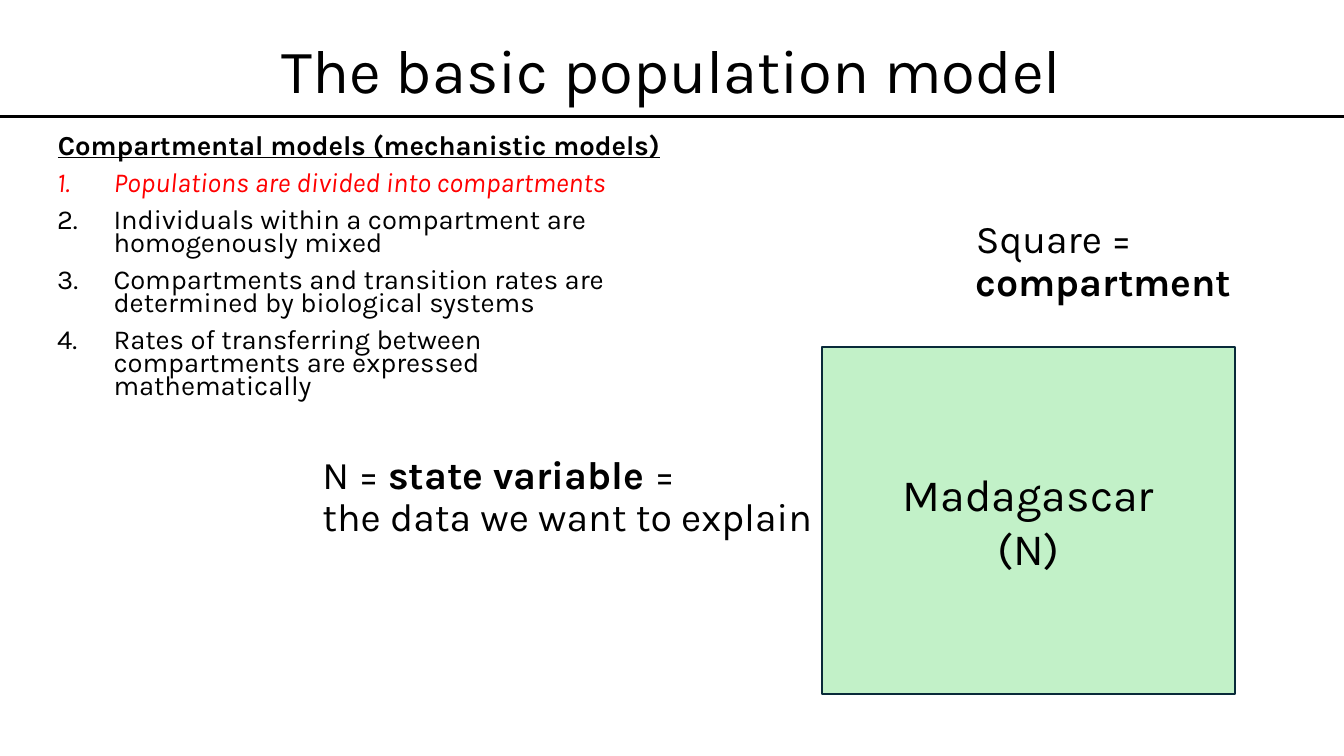
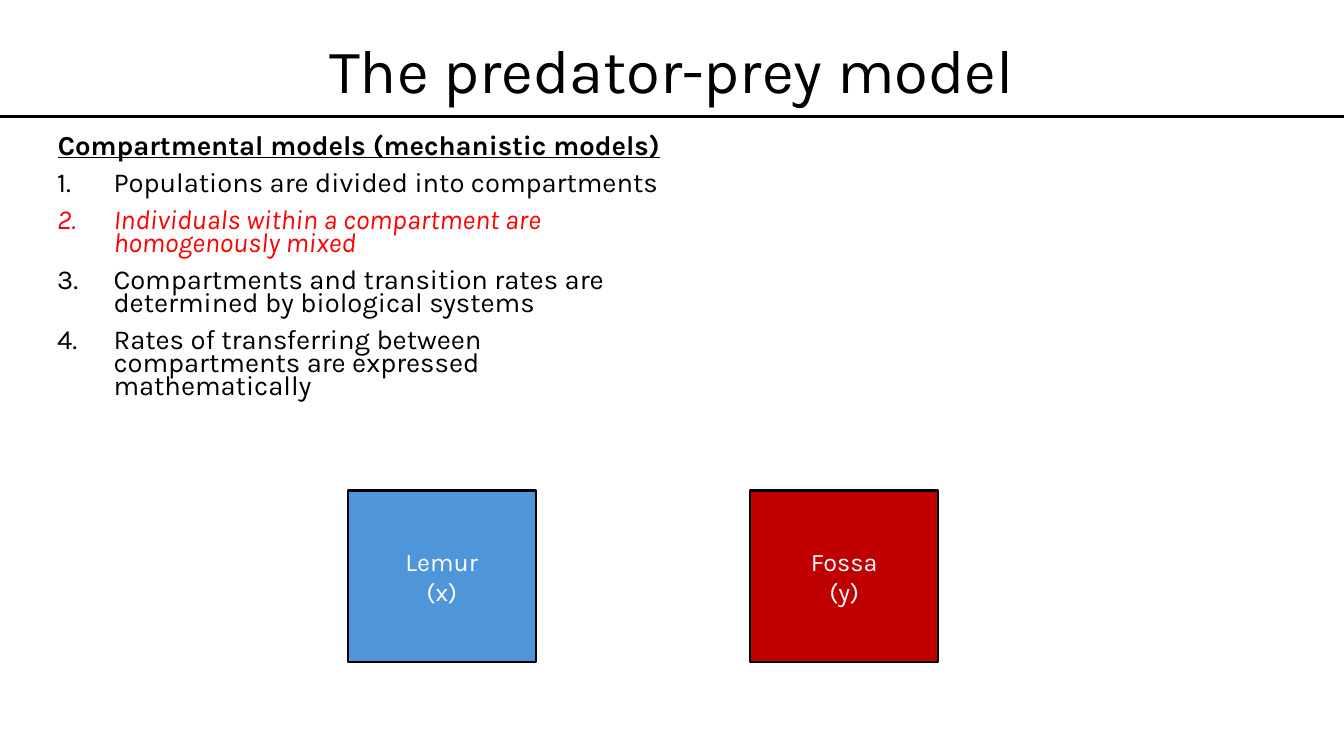
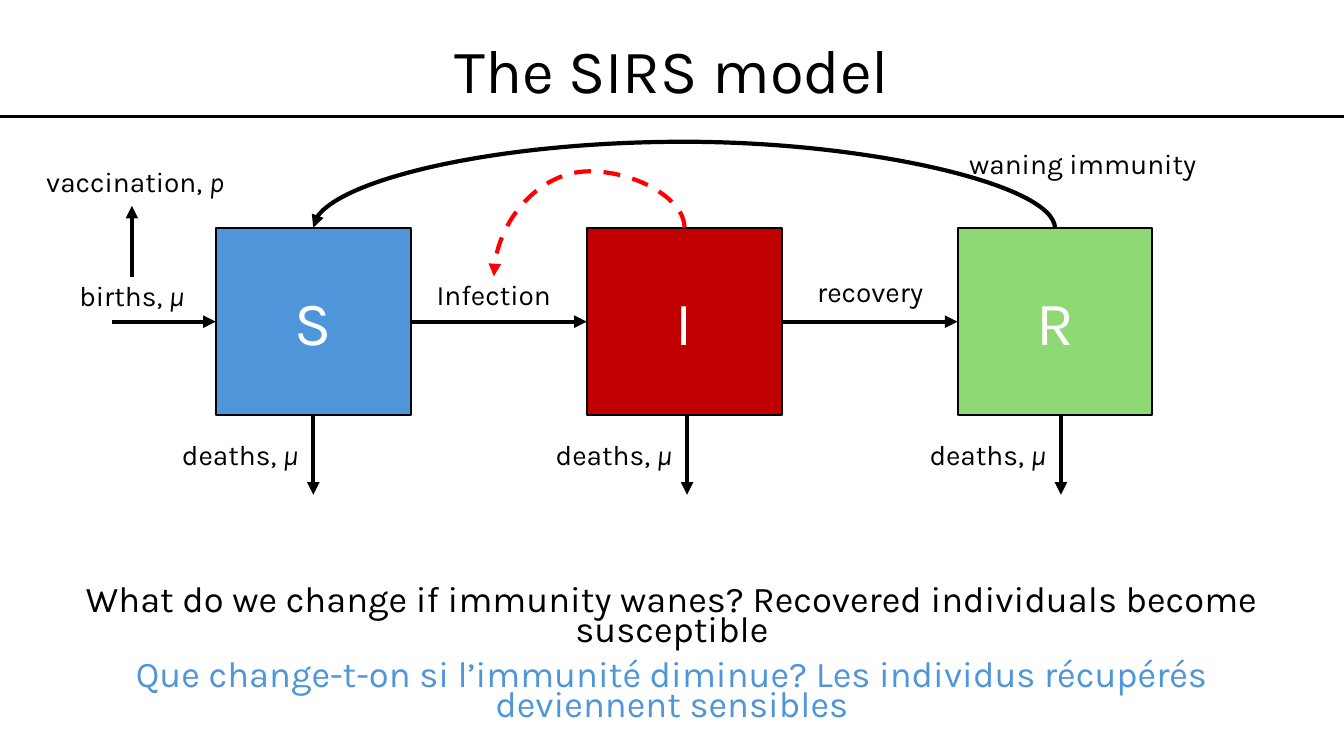
from lxml.etree import SubElement
from pptx import Presentation
from pptx.dml.color import RGBColor
from pptx.enum.dml import MSO_LINE_DASH_STYLE as Dash
from pptx.enum.shapes import MSO_CONNECTOR as Connector, MSO_SHAPE as Shape
from pptx.enum.text import MSO_ANCHOR as Anchor, MSO_AUTO_SIZE as AutoSize, PP_ALIGN as Align
from pptx.oxml.ns import qn
from pptx.util import Emu, Inches, Pt

COLUMNS, ROWS = 160, 90
CELL = Inches(7.5) // ROWS
BLACK, WHITE, RED = "000000", "FFFFFF", "FF0000"
BLUE, CRIMSON, GREEN, MINT, NAVY = "4E95D9", "C00000", "8ED973", "C2F1C8", "092A39"
FONT = "Karla"
TIGHT = {"line_spacing": 0.7, "space_before": Pt(10)}
NORMAL = {"line_spacing": 0.9, "space_before": Pt(10)}
PLAIN = {"line_spacing": 1.0, "space_before": Pt(0)}
BOLD, ITALIC = {"bold": True}, {"italic": True}
EMPHASIS = {"italic": True, "color": RED}
HEADING = "Compartmental models (mechanistic models)"
PRINCIPLES = [
    "Populations are divided into compartments",
    "Individuals within a compartment are homogenously mixed",
    "Compartments and transition rates are determined by biological systems",
    "Rates of transferring between compartments are expressed mathematically",
]


def cells(*counts):
    return [Emu(round(count * CELL)) for count in counts]


def rgb(code):
    return RGBColor.from_string(code)


def apply(target, values):
    for name, value in values.items():
        setattr(target, name, value)


def place(shape, box):
    apply(shape, dict(zip(("left", "top", "width", "height"), cells(*box))))


def write(frame, paragraphs, size, spacing=NORMAL, align=Align.LEFT, color=BLACK):
    apply(frame, {"word_wrap": True, "auto_size": AutoSize.NONE})
    for index, runs in enumerate(paragraphs):
        paragraph = frame.add_paragraph() if index else frame.paragraphs[0]
        apply(paragraph, {**spacing, "alignment": align})
        if not index:
            paragraph.space_before = Pt(0)
        for text, changes in runs:
            if text == "\n":
                paragraph.add_line_break()
                continue
            run = paragraph.add_run()
            run.text = text
            style = {"name": FONT, "size": Pt(size), "color": color, **changes}
            run.font.color.rgb = rgb(style.pop("color"))
            apply(run.font, style)


def set_bullet(paragraph, numbered):
    indent = Inches(0.56) if numbered else 0
    properties = paragraph._p.get_or_add_pPr()
    properties.set("marL", str(indent))
    properties.set("indent", str(-indent))
    if numbered:
        SubElement(properties, qn("a:buAutoNum"), type="arabicPeriod")
    else:
        SubElement(properties, qn("a:buNone"))


def new_slide(deck, title):
    slide = deck.slides.add_slide(deck.slide_layouts[1])
    place(slide.shapes.title, (0, 0, COLUMNS, 17.4))
    slide.shapes.title.text_frame.vertical_anchor = Anchor.MIDDLE
    write(slide.shapes.title.text_frame, [[(title, {})]], 44, NORMAL, Align.CENTER)
    line(slide, (0, 13.9), (COLUMNS, 13.9), 2.25, arrow=False)
    return slide


def body(slide, box, paragraphs, size):
    holder = slide.placeholders[1]
    place(holder, box)
    write(holder.text_frame, paragraphs, size, TIGHT, Align.CENTER)
    return holder.text_frame.paragraphs


def principles(slide, highlighted):
    entries = [[(text, EMPHASIS if number == highlighted else {})]
               for number, text in enumerate(PRINCIPLES, 1)]
    heading = [(HEADING, {"bold": True, "underline": True})]
    first, *rest = body(slide, (5.6, 15.7, 74.3, 32.9), [heading, *entries], 19.6)
    set_bullet(first, False)
    for paragraph in rest:
        paragraph.alignment = Align.LEFT
        set_bullet(paragraph, True)


def caption(slide, box, runs, size=28, align=Align.LEFT):
    holder = slide.shapes.add_textbox(*cells(*box))
    write(holder.text_frame, [runs], size, NORMAL, align)


def label(slide, center, top, text, symbol=""):
    width = 31
    runs = [(text, {})] + ([(symbol, ITALIC)] if symbol else [])
    caption(slide, (center - width / 2, top, width, 6.6), runs, 20, Align.CENTER)


def compartment(slide, box, lines, size, fill, border=BLACK, color=WHITE):
    square = slide.shapes.add_shape(Shape.RECTANGLE, *cells(*box))
    square.shadow.inherit = False
    square.fill.solid()
    square.fill.fore_color.rgb = rgb(fill)
    square.line.color.rgb = rgb(border)
    square.line.width = Pt(1.5)
    square.text_frame.vertical_anchor = Anchor.MIDDLE
    write(square.text_frame, [[(text, {})] for text in lines], size, PLAIN, Align.CENTER, color)


def line(slide, start, end, width=3, color=BLACK, arrow=True, kind=Connector.STRAIGHT):
    link = slide.shapes.add_connector(kind, *cells(*start, *end))
    link.line.color.rgb = rgb(color)
    link.line.width = Pt(width)
    if arrow:
        SubElement(link.line._get_or_add_ln(), qn("a:tailEnd"), type="triangle")
    SubElement(link._element.spPr, qn("a:effectLst"))
    return link


def arch(slide, start, end, peak, color=BLACK):
    link = line(slide, start, end, color=color, kind=Connector.CURVE)
    (x1, y1), (x2, y2) = start, end
    width, height = abs(y2 - y1), abs(x2 - x1)
    place(link, ((x1 + x2 - width) / 2, (y1 + y2 - height) / 2, width, height))
    turn = {"rot": 270 * 60000, "flipH": int(y2 > y1), "flipV": int(x2 < x1)}
    for name, value in turn.items():
        link._element.spPr.find(qn("a:xfrm")).set(name, str(value))
    guides = link._element.spPr.find(qn("a:prstGeom")).get_or_add_avLst()
    bend = round((peak - y1) / (y2 - y1) * 100000)
    SubElement(guides, qn("a:gd"), name="adj1", fmla=f"val {bend}")
    return link


def population_slide(deck):
    slide = new_slide(deck, "The basic population model")
    principles(slide, 1)
    caption(slide, (37.2, 53.6, 60.7, 20.6), [
        ("N = ", {}), ("state variable ", BOLD), ("= ", {}), ("\n", {}),
        ("the data we want to explain", {})])
    caption(slide, (115, 25.6, 34.4, 13.3), [("Square = ", {}), ("compartment", BOLD)])
    compartment(slide, (97.9, 41.3, 49.1, 41.3), ["Madagascar", "(N)"], 32, MINT, NAVY, BLACK)


def predator_slide(deck):
    slide = new_slide(deck, "The predator-prey model")
    principles(slide, 2)
    species = [("Lemur", "(x)", BLUE), ("Fossa", "(y)", CRIMSON)]
    for index, (name, symbol, fill) in enumerate(species):
        compartment(slide, (41.4 + 47.9 * index, 58.4, 22.4, 20.4), [name, symbol], 18, fill)


def sirs_slide(deck):
    slide = new_slide(deck, "The SIRS model")
    left, top, width, height, step, middle = 25.7, 27.1, 23.2, 22.3, 44.15, 38.3
    for index, (state, fill) in enumerate([("S", BLUE), ("I", CRIMSON), ("R", GREEN)]):
        edge = left + step * index
        compartment(slide, (edge, top, width, height), [state], 44, fill)
        inflow = 13.3 if index == 0 else edge - step + width
        line(slide, (inflow, middle), (edge, middle))
        death = 37.3 + 44.5 * index
        line(slide, (death, top + height), (death, 58.9))
        label(slide, death - 8.7, 51.9, "deaths, ", "μ")
    line(slide, (15.7, 33), (15.7, 24.5))
    arch(slide, (81.5, top), (58.8, 32.9), 20.4, RED).line.dash_style = Dash.DASH
    arch(slide, (125.6, 27.2), (37.3, top), 16.8)
    for center, height, *words in [
        (58.8, 32.9, "Infection"),
        (103.6, 32.6, "recovery"),
        (128.9, 17.3, "waning immunity"),
        (15.7, 33, "births, ", "μ"),
        (16.1, 19.4, "vaccination, ", "p"),
    ]:
        label(slide, center, height, *words)
    questions = [
        [("What do we change if immunity wanes? Recovered individuals become susceptible", {})],
        [("Que change-t-on si l’immunité diminue? Les individus récupérés deviennent sensibles",
          {"color": BLUE})],
    ]
    for paragraph in body(slide, (5.2, 69.4, 149.6, 18.6), questions, 25.9):
        set_bullet(paragraph, False)


def main():
    deck = Presentation()
    deck.slide_width, deck.slide_height = cells(COLUMNS, ROWS)
    population_slide(deck)
    predator_slide(deck)
    sirs_slide(deck)
    deck.save("out.pptx")


if __name__ == "__main__":
    main()
